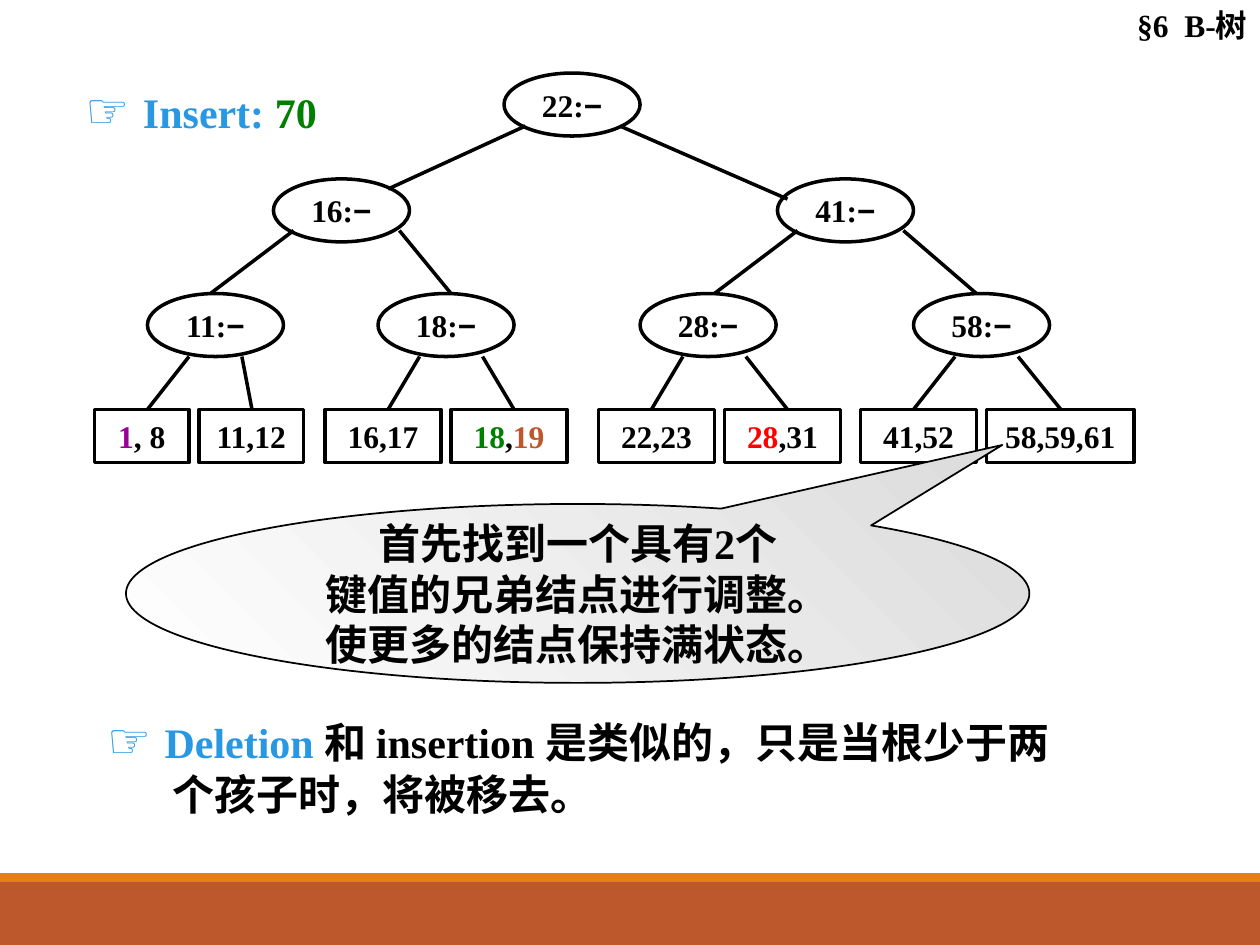
import pptx
import pptx.dml.color
import pptx.enum.shapes
import pptx.enum.text
import pptx.oxml.ns
import pptx.util
from lxml import etree

Inches = pptx.util.Inches
Pt = pptx.util.Pt
RGBColor = pptx.dml.color.RGBColor
Shape = pptx.enum.shapes.MSO_SHAPE
Align = pptx.enum.text.PP_ALIGN
Anchor = pptx.enum.text.MSO_ANCHOR

BLACK = RGBColor(0x00, 0x00, 0x00)
WHITE = RGBColor(0xFF, 0xFF, 0xFF)
GREY = RGBColor(0xDD, 0xDD, 0xDD)
BLUE = RGBColor(0x29, 0x98, 0xE3)
GREEN = RGBColor(0x00, 0x80, 0x00)
RED = RGBColor(0xFF, 0x00, 0x00)
PURPLE = RGBColor(0x99, 0x00, 0x99)
RUST = RGBColor(0xBD, 0x58, 0x2C)
ORANGE = RGBColor(0xE4, 0x83, 0x12)

SERIF = "Times New Roman"
SANS = "Arial"


class TreeSlide:
    """Holds the style and the current slide."""
    node_size = 18
    body_size = 24
    hand_size = 28
    line_width = 2

    def __init__(self, slide):
        self.slide = slide

    def runs(self, paragraph, parts, size):
        """Each part is (text, colour) with optional font and size."""
        for text, color, *rest in parts:
            run = paragraph.add_run()
            run.text = text
            run.font.name = rest[0] if rest else SERIF
            run.font.size = Pt(rest[1] if len(rest) > 1 else size)
            run.font.bold = True
            run.font.color.rgb = color

    def text(self, shape, box, parts, size, align=Align.LEFT):
        shape.left, shape.top, shape.width, shape.height = map(Inches, box)
        frame = shape.text_frame
        frame.word_wrap = True
        frame.auto_size = pptx.enum.text.MSO_AUTO_SIZE.NONE
        frame.vertical_anchor = Anchor.TOP
        paragraph = frame.paragraphs[0]
        paragraph.alignment = align
        paragraph.space_before = Pt(0)
        self.runs(paragraph, parts, size)
        return paragraph

    def hanging(self, paragraph, indent):
        properties = paragraph._p.get_or_add_pPr()
        properties.set("marL", str(Inches(indent)))
        properties.set("indent", str(-Inches(indent)))
        etree.SubElement(properties, pptx.oxml.ns.qn("a:buNone"))

    def shape(self, kind, box, fill=None, line=None, width=line_width):
        shape = self.slide.shapes.add_shape(kind, *map(Inches, box))
        shape.shadow.inherit = False
        if fill is None:
            shape.fill.background()
        else:
            shape.fill.solid()
            shape.fill.fore_color.rgb = fill
        if line is None:
            shape.line.fill.background()
        else:
            shape.line.color.rgb = line
            shape.line.width = Pt(width)
        return shape

    def node(self, kind, box, parts):
        frame = self.shape(kind, box, line=BLACK).text_frame
        frame.word_wrap = False
        frame.vertical_anchor = Anchor.MIDDLE
        frame.paragraphs[0].alignment = Align.CENTER
        self.runs(frame.paragraphs[0], parts, self.node_size)

    def edge(self, x1, y1, x2, y2):
        edge = self.slide.shapes.add_connector(
            pptx.enum.shapes.MSO_CONNECTOR.STRAIGHT,
            *map(Inches, (x1, y1, x2, y2)))
        edge.line.color.rgb = BLACK
        edge.line.width = Pt(self.line_width)
        etree.SubElement(edge._element.spPr, pptx.oxml.ns.qn("a:effectLst"))

    def callout(self, box, tip, lines):
        bubble = self.shape(Shape.OVAL_CALLOUT, box, WHITE, BLACK, 1)
        bubble.adjustments[0], bubble.adjustments[1] = tip
        bubble.fill.gradient()
        bubble.fill.gradient_angle = 45
        for stop, color in zip(bubble.fill.gradient_stops, (WHITE, GREY)):
            stop.color.rgb = color
        frame = bubble.text_frame
        frame.word_wrap = True
        frame.vertical_anchor = Anchor.MIDDLE
        for index, line in enumerate(lines):
            paragraph = frame.add_paragraph() if index else frame.paragraphs[0]
            paragraph.alignment = Align.CENTER
            self.runs(paragraph, [(line, BLACK)], self.body_size)


def main():
    deck = pptx.Presentation()
    deck.slide_width, deck.slide_height = Inches(10), Inches(7.5)
    slide = deck.slides.add_slide(deck.slide_layouts[1])
    tree = TreeSlide(slide)
    hand = ("☞ ", BLUE, SANS, tree.hand_size)

    # Footer bands
    tree.shape(Shape.RECTANGLE, (0, 7, 10, 0.5), RUST)
    tree.shape(Shape.RECTANGLE, (0, 6.93, 10, 0.07), ORANGE)

    # Section title
    tree.text(slide.shapes.title, (8.17, 0, 1.83, 0.4),
              [("§6  B-树", BLACK)], 18, Align.RIGHT)

    # Inner nodes: top of each level, then left edge and key
    levels = [
        (0.58, [(4, 22)]),
        (1.42, [(2.17, 16), (6.17, 41)]),
        (2.33, [(1.17, 11), (3, 18), (5.08, 28), (7.25, 58)]),
    ]
    for top, nodes in levels:
        for left, key in nodes:
            tree.node(Shape.OVAL, (left, top, 1.08, 0.5),
                      [(f"{key}:", BLACK), ("−", BLACK, SANS)])

    # Leaves: left edge, width and keys
    leaves = [
        (0.75, 0.75, [("1", PURPLE), (", 8", BLACK)]),
        (1.58, 0.83, [("11,12", BLACK)]),
        (2.58, 0.92, [("16,17", BLACK)]),
        (3.58, 0.92, [("18", GREEN), (",", BLACK), ("19", RUST)]),
        (4.75, 0.92, [("22,23", BLACK)]),
        (5.75, 0.92, [("28", RED), (",31", BLACK)]),
        (6.83, 0.92, [("41,52", BLACK)]),
        (7.83, 1.17, [("58,59,61", BLACK)]),
    ]
    for left, width, keys in leaves:
        tree.node(Shape.RECTANGLE, (left, 3.25, width, 0.42), keys)

    # Edges: the root, then parent and child x of each lower level
    tree.edge(4.17, 1, 3.08, 1.5)
    tree.edge(4.92, 1, 6.25, 1.58)
    lower_edges = [
        (1.83, 2.33, [(2.33, 1.67), (3.17, 3.58), (6.33, 5.67), (7.17, 7.75)]),
        (2.83, 3.25, [(1.5, 1.17), (1.92, 2), (3.33, 3.08), (3.83, 4.08),
                      (5.42, 5.17), (5.92, 6.25), (7.58, 7.25), (8.08, 8.42)]),
    ]
    for start, end, pairs in lower_edges:
        for parent, child in pairs:
            tree.edge(parent, start, child, end)

    # Insert heading
    insert = slide.shapes.add_textbox(0, 0, 0, 0)
    tree.text(insert, (0.58, 0.58, 2.42, 0.57),
              [hand, ("Insert: ", BLUE), ("70", GREEN)], tree.body_size)

    # Advice pointing at the full leaf
    tree.callout((1, 4, 7.17, 1.42), (0.47, -0.83),
                 ["首先找到一个具有2个", "键值的兄弟结点进行调整。",
                  "使更多的结点保持满状态。"])

    # Deletion note
    deletion = tree.text(
        slide.placeholders[1], (0.75, 5.58, 7.92, 0.97),
        [hand, ("Deletion ", BLUE),
         ("和 insertion 是类似的，只是当根少于两个孩子时，将被移去。", BLACK)],
        tree.body_size)
    tree.hanging(deletion, 0.52)

    deck.save("out.pptx")


if __name__ == "__main__":
    main()
